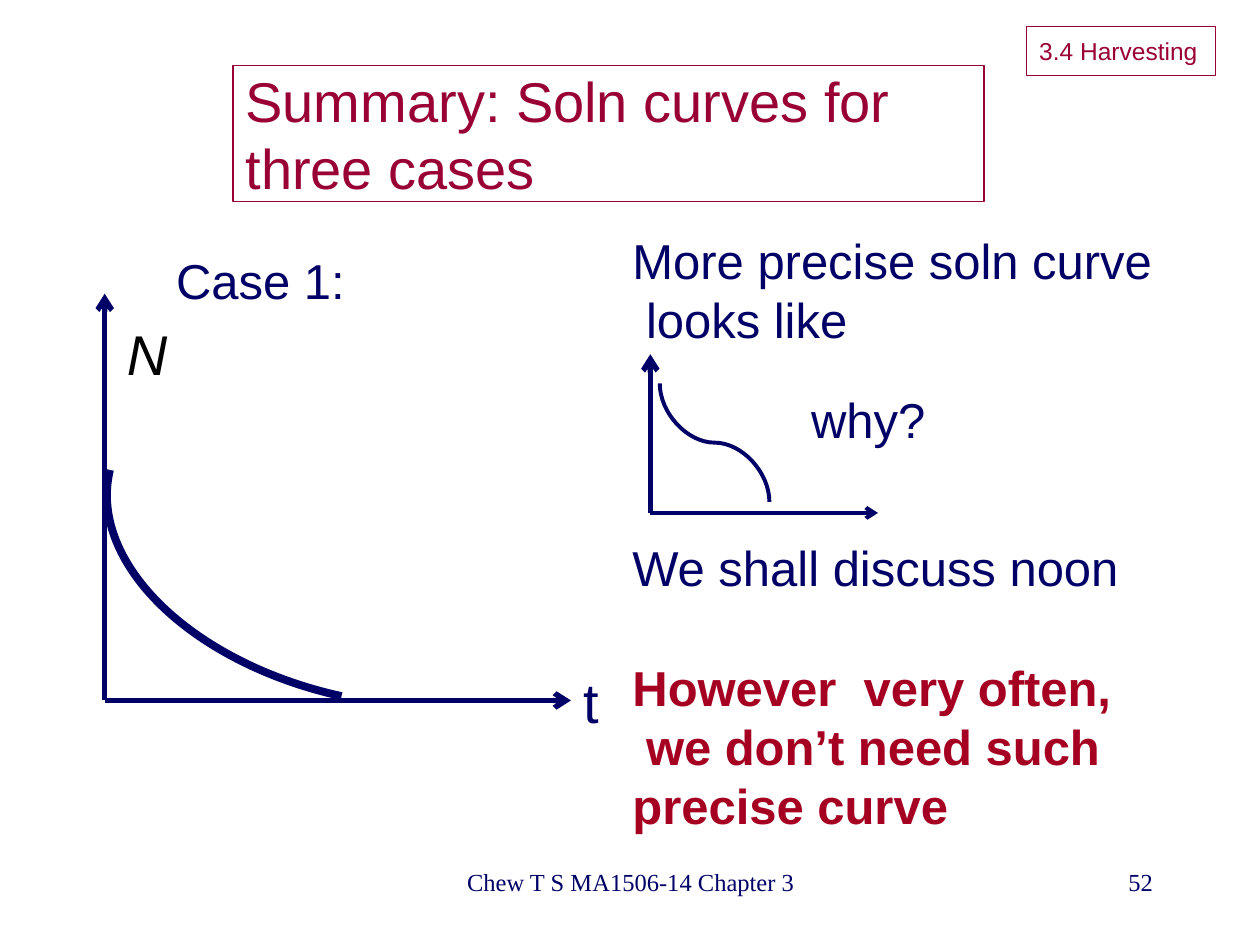
from lxml import etree
from pptx import Presentation
from pptx.dml.color import RGBColor
from pptx.enum import shapes, text
from pptx.oxml.ns import qn
from pptx.util import Cm, Pt

NAVY = RGBColor(0x00, 0x00, 0x66)
WINE = RGBColor(0x99, 0x00, 0x33)
RED = RGBColor(0xA5, 0x00, 0x21)
BLACK = RGBColor(0x00, 0x00, 0x00)
LEFT, CENTER, RIGHT = text.PP_ALIGN.LEFT, text.PP_ALIGN.CENTER, text.PP_ALIGN.RIGHT

prs = Presentation()
prs.slide_width, prs.slide_height = Cm(25.4), Cm(19.05)
s = prs.slides.add_slide(prs.slide_layouts[6])


def write(sp, lines, size, color, font="Arial", align=LEFT, wrap=False, bold=False, italic=False):
    tf = sp.text_frame
    tf.word_wrap = wrap
    for i, line in enumerate(lines):
        p = tf.paragraphs[0] if i == 0 else tf.add_paragraph()
        p.alignment = align
        r = p.add_run()
        r.text = line
        r.font.name = font
        r.font.size = Pt(size)
        r.font.bold = bold
        r.font.italic = italic
        r.font.color.rgb = color


def connect(kind, x1, y1, x2, y2, width):
    c = s.shapes.add_connector(kind, Cm(x1), Cm(y1), Cm(x2), Cm(y2))
    c.line.color.rgb = NAVY
    c.line.width = Pt(width)
    etree.SubElement(c._element.spPr, qn("a:effectLst"))
    return c


for box, label, size in [
    ((4.7, 1.32, 15.14, 2.74), "Summary: Soln curves for three cases", 32),
    ((20.7, 0.53, 3.81, 0.99), "3.4 Harvesting", 14),
]:
    sp = s.shapes.add_shape(shapes.MSO_SHAPE.RECTANGLE, *map(Cm, box))
    sp.shadow.inherit = False
    sp.fill.background()
    sp.line.color.rgb = WINE
    sp.line.width = Pt(0.75)
    sp.text_frame.vertical_anchor = text.MSO_ANCHOR.MIDDLE
    write(sp, [label], size, WINE, wrap=True)

footer = {"font": "Times New Roman", "wrap": True}
for box, lines, size, color, style in [
    ((8.69, 17.35, 8.05, 1.27), ["Chew T S MA1506-14 Chapter 3"], 14, NAVY, {**footer, "align": CENTER}),
    ((18.21, 17.35, 5.28, 1.27), ["52"], 14, NAVY, {**footer, "align": RIGHT}),
    ((2.31, 6.32, 1.07, 1.63), ["N"], 32, BLACK, {"italic": True, "wrap": True}),
    ((11.51, 13.34, 0.84, 1.63), ["t"], 32, NAVY, {}),
    ((3.3, 4.93, 3.96, 1.45), ["Case 1:"], 28, NAVY, {}),
    ((12.5, 4.52, 11.13, 2.64), ["More precise soln curve", " looks like"], 28, NAVY, {}),
    ((16.1, 7.72, 2.84, 1.45), ["why?"], 28, NAVY, {}),
    ((12.5, 10.72, 10.44, 1.45), ["We shall discuss noon"], 28, NAVY, {}),
    ((12.5, 13.13, 10.34, 3.84),
     ["However  very often,", " we don’t need such", "precise curve"], 28, RED, {"bold": True}),
]:
    write(s.shapes.add_textbox(*map(Cm, box)), lines, size, color, **style)

for x, y, top, right, width in [(2.11, 14.12, 5.92, 11.51, 3), (13.11, 10.34, 7.14, 17.7, 2.25)]:
    for x2, y2, weight in [(x, top, 3), (right, y, width)]:
        axis = connect(shapes.MSO_CONNECTOR.STRAIGHT, x, y, x2, y2, weight)
        etree.SubElement(axis.line._get_or_add_ln(), qn("a:tailEnd"), type="arrow")

arc = s.shapes.add_shape(shapes.MSO_SHAPE.ARC, Cm(2.08), Cm(7.26), Cm(11.15), Cm(6.86))
arc.shadow.inherit = False
arc.adjustments[0] = 162.649
arc.adjustments[1] = 0.43
arc.rotation = 191.9
arc.fill.background()
arc.line.color.rgb = NAVY
arc.line.width = Pt(4.5)

curve = connect(shapes.MSO_CONNECTOR.CURVE, 13.21, 10.03, 15.6, 7.82, 2.25)
curve._element.spPr.xfrm.set("rot", str(270 * 60000))

prs.save("out.pptx")
